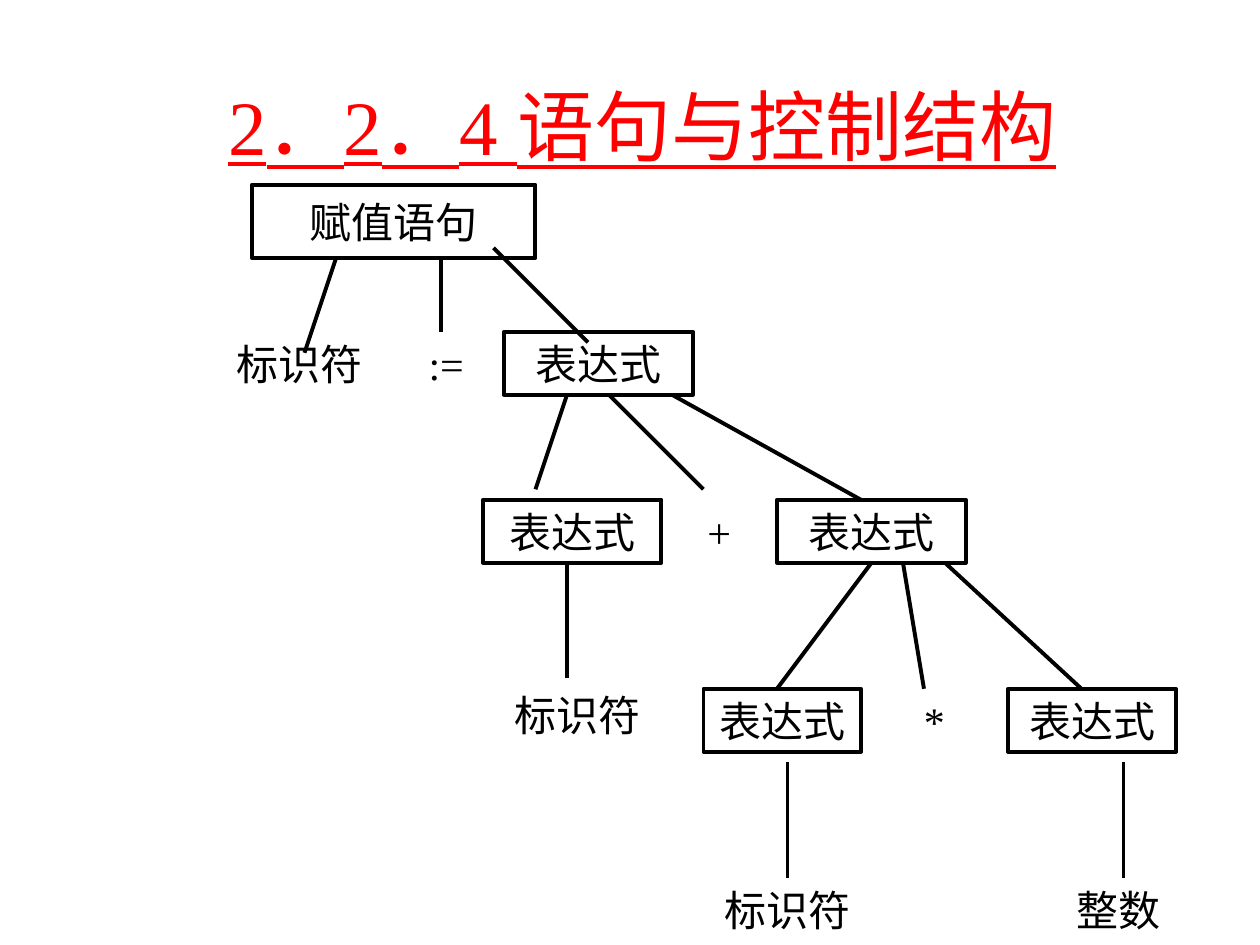
from lxml.etree import SubElement
from pptx import Presentation
from pptx.dml.color import RGBColor
from pptx.enum.shapes import MSO_CONNECTOR, MSO_SHAPE
from pptx.enum.text import MSO_ANCHOR, PP_ALIGN
from pptx.oxml.ns import qn
from pptx.util import Inches, Pt

LATIN = "Times New Roman"
CJK = "Noto Sans CJK SC"


def color(value):
    return RGBColor.from_string(value)


def add_text(paragraph, text, font=LATIN, size=24, ink="000000", underline=False):
    run = paragraph.add_run()
    run.text = text
    run.font.name = font
    run.font.size = Pt(size)
    run.font.underline = underline
    run.font.color.rgb = color(ink)
    SubElement(run.font._element, qn("a:ea"), typeface=CJK)


class TreeSlide:
    cell = 1 / 12
    top_margin = 0.05
    ink = "000000"
    paper = "FFFFFF"
    accent = "FF0000"
    stroke = Pt(2.25)

    def __init__(self, presentation):
        self.slide = presentation.slides.add_slide(presentation.slide_layouts[6])

    def point(self, column, row):
        return Inches(column * self.cell), Inches(self.top_margin + row * self.cell)

    def area(self, column, row, columns, rows):
        return (*self.point(column, row), Inches(columns * self.cell), Inches(rows * self.cell))

    def centered(self, frame, wrap):
        frame.word_wrap = wrap
        frame.vertical_anchor = MSO_ANCHOR.MIDDLE
        paragraph = frame.paragraphs[0]
        paragraph.alignment = PP_ALIGN.CENTER
        return paragraph

    def title(self, parts, *place):
        heading = self.slide.shapes.add_textbox(*self.area(*place))
        paragraph = self.centered(heading.text_frame, True)
        for text, font in parts:
            add_text(paragraph, text, font=font, size=44, ink=self.accent, underline=True)
        add_text(paragraph, " ", size=44)

    def node(self, label, column, row, columns, rows=6, border=paper):
        box = self.slide.shapes.add_shape(
            MSO_SHAPE.RECTANGLE, *self.area(column, row, columns, rows))
        box.shadow.inherit = False
        box.fill.solid()
        box.fill.fore_color.rgb = color(self.paper)
        box.line.color.rgb = color(border)
        box.line.width = self.stroke
        add_text(self.centered(box.text_frame, False), label, ink=self.ink)

    def branch(self, start, end):
        edge = self.slide.shapes.add_connector(
            MSO_CONNECTOR.STRAIGHT, *self.point(*start), *self.point(*end))
        edge.line.color.rgb = color(self.ink)
        edge.line.width = self.stroke
        SubElement(edge._element.spPr, qn("a:effectLst"))


def main():
    presentation = Presentation()
    presentation.slide_width = Inches(10)
    presentation.slide_height = Inches(7.5)
    tree = TreeSlide(presentation)

    tree.node("赋值语句", 24, 17, 27, rows=7, border=tree.ink)
    for expression in [(48, 31, 18), (46, 47, 17), (74, 47, 18), (67, 65, 15), (96, 65, 16)]:
        tree.node("表达式", *expression, border=tree.ink)
    for leaf in [
        ("标识符", 20, 31, 17),
        (":=", 39, 31, 7),
        ("+", 65, 47, 7),
        ("标识符", 47, 64, 16, 7),
        ("*", 86, 65, 6),
        ("标识符", 67, 83, 16),
        ("整数", 99, 83, 15),
    ]:
        tree.node(*leaf)

    for start, end in [
        ((32, 24), (29, 33)),
        ((42, 24), (42, 31)),
        ((47, 23), (56, 32)),
        ((54, 37), (51, 46)),
        ((58, 37), (67, 46)),
        ((64, 37), (82, 47)),
        ((54, 53), (54, 64)),
        ((83, 53), (74, 65)),
        ((86, 53), (88, 65)),
        ((90, 53), (103, 65)),
        ((75, 72), (75, 83)),
        ((107, 72), (107, 83)),
    ]:
        tree.branch(start, end)

    title_parts = [("2", LATIN), ("．", CJK), ("2", LATIN), ("．", CJK),
                   ("4 ", LATIN), ("语句与控制结构", CJK)]
    tree.title(title_parts, 11, 3.8, 102, 15)
    presentation.save("out.pptx")


if __name__ == "__main__":
    main()
